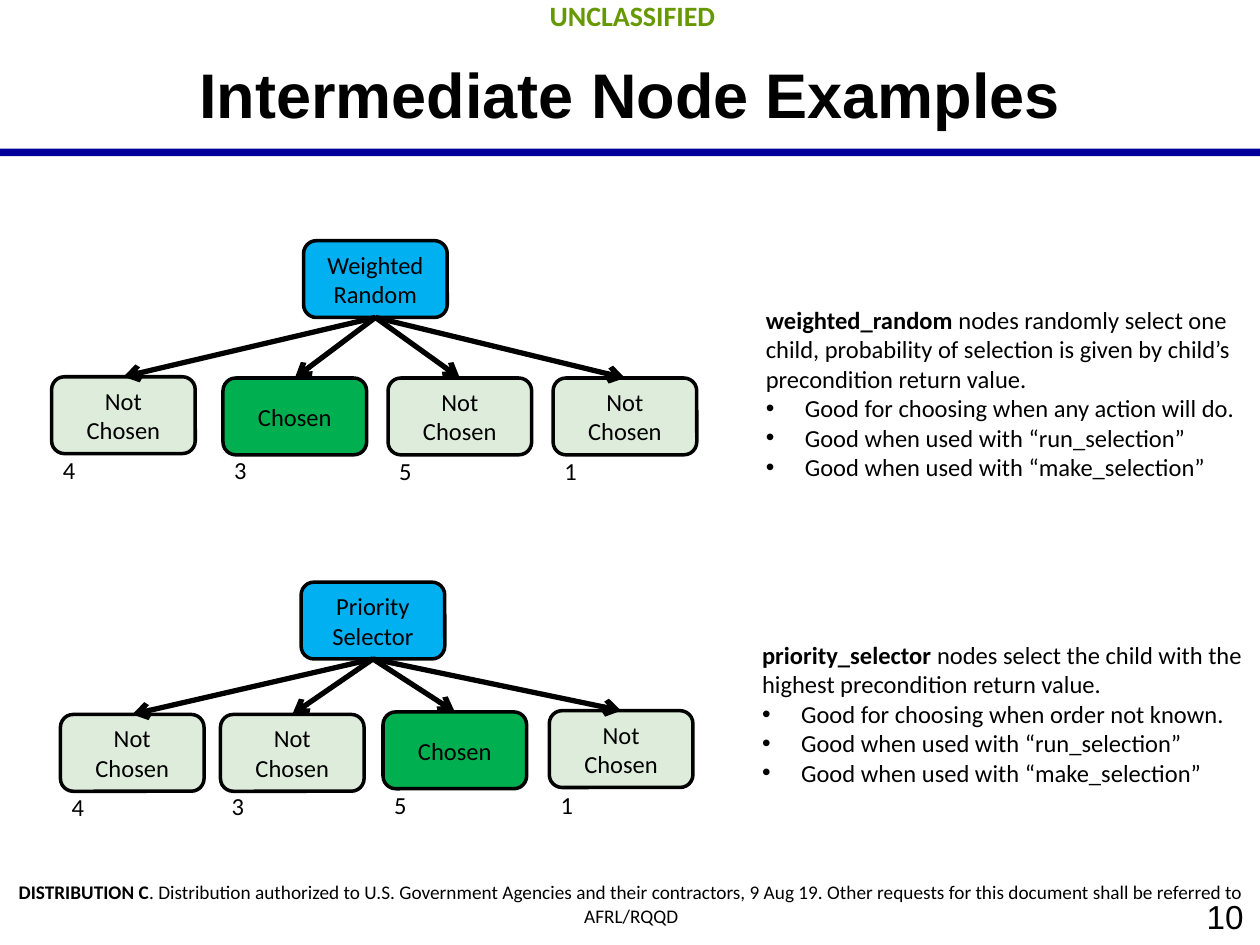
"""Build the slide on intermediate behavior tree node examples."""
from lxml import etree
from pptx import Presentation
from pptx.dml.color import RGBColor
from pptx.enum.shapes import MSO_CONNECTOR, MSO_SHAPE
from pptx.enum.text import MSO_ANCHOR, PP_ALIGN
from pptx.oxml.ns import qn
from pptx.util import Inches, Pt

RECT, ROUNDED = MSO_SHAPE.RECTANGLE, MSO_SHAPE.ROUNDED_RECTANGLE
STRAIGHT = MSO_CONNECTOR.STRAIGHT
LEFT, CENTER, RIGHT = PP_ALIGN.LEFT, PP_ALIGN.CENTER, PP_ALIGN.RIGHT
TOP, MIDDLE = MSO_ANCHOR.TOP, MSO_ANCHOR.MIDDLE

BLACK = RGBColor(0x00, 0x00, 0x00)
NAVY = RGBColor(0x00, 0x00, 0x99)
OLIVE = RGBColor(0x66, 0x99, 0x00)
BLUE = RGBColor(0x00, 0xB0, 0xF0)
GREEN = RGBColor(0x00, 0xB0, 0x50)
PALE = RGBColor(0xDE, 0xED, 0xDB)

NODE_W, NODE_H = 1.14, 0.61
TREES = [
    ("Weighted Random", 2.41, 1.91, [
        ("Not Chosen", 0.41, 2.99, "4", 3.56), ("Chosen", 1.77, 3, "3", 3.56),
        ("Not Chosen", 3.08, 3, "5", 3.57), ("Not Chosen", 4.39, 3, "1", 3.57)]),
    ("Priority Selector", 2.39, 4.62, [
        ("Not Chosen", 0.48, 5.67, "4", 6.24), ("Not Chosen", 1.75, 5.67, "3", 6.23),
        ("Chosen", 3.04, 5.65, "5", 6.22), ("Not Chosen", 4.36, 5.64, "1", 6.22)]),
]
NOTES = [
    (5.98, 2.37, 1.51, "weighted_random ",
     "nodes randomly select one child, probability of selection is given by "
     "child’s precondition return value.",
     "Good for choosing when any action will do."),
    (5.95, 5.03, 1.28, "priority_selector ",
     "nodes select the child with the highest precondition return value.",
     "Good for choosing when order not known."),
]
SHARED_BULLETS = ["Good when used with “run_selection”",
                  "Good when used with “make_selection”"]

prs = Presentation()
prs.slide_width, prs.slide_height = Inches(10), Inches(7.5)
s = prs.slides.add_slide(prs.slide_layouts[6])


def add_text(left, top, width, height, runs, size=14, font="Calibri", color=BLACK,
             align=LEFT, anchor=TOP, insets=(0.1, 0.05), wrap=True):
    sp = s.shapes.add_textbox(Inches(left), Inches(top), Inches(width), Inches(height))
    tf = sp.text_frame
    tf.word_wrap = wrap
    tf.vertical_anchor = anchor
    tf.margin_left = tf.margin_right = Inches(insets[0])
    tf.margin_top = tf.margin_bottom = Inches(insets[1])
    p = tf.paragraphs[0]
    p.alignment = align
    for text, bold in runs:
        r = p.add_run()
        r.text = text
        r.font.name, r.font.size, r.font.bold = font, Pt(size), bold
        r.font.color.rgb = color
    return tf


def add_node(text, left, top, fill):
    sp = s.shapes.add_shape(ROUNDED, Inches(left), Inches(top), Inches(NODE_W), Inches(NODE_H))
    sp.shadow.inherit = False
    sp.fill.solid()
    sp.fill.fore_color.rgb = fill
    sp.line.color.rgb = BLACK
    sp.line.width = Pt(2)
    sp.text_frame.text = text
    sp.text_frame.word_wrap = True
    sp.text_frame.vertical_anchor = MIDDLE
    p = sp.text_frame.paragraphs[0]
    p.alignment = CENTER
    font = p.runs[0].font
    font.name, font.size = "Calibri", Pt(14)
    font.color.rgb = BLACK
    return sp


rule = s.shapes.add_shape(RECT, 0, Inches(1.18), Inches(10), Inches(0.06))
rule.shadow.inherit = False
rule.fill.solid()
rule.fill.fore_color.rgb = NAVY
rule.line.fill.background()

add_text(8, 7.05, 2, 0.45, [("10", False)], 19, "Arial", align=RIGHT, anchor=MIDDLE,
         insets=(0.13, 0.07))
add_text(0.02, -0.08, 10, 0.4, [("UNCLASSIFIED", True)], 16, color=OLIVE, align=CENTER,
         insets=(0.13, 0.07))
add_text(0, 6.92, 10.02, 0.5, [
    ("DISTRIBUTION C", True),
    (". Distribution authorized to U.S. Government Agencies and their contractors, 9 Aug 19. "
     "Other requests for this document shall be referred to AFRL/RQQD", False),
], 11, align=CENTER, insets=(0.13, 0.07))
add_text(0.5, 0.34, 9, 0.59, [("Intermediate Node Examples", True)], 36, "Arial",
         align=CENTER, insets=(0.1, 0.1))

for name, left, top, children in TREES:
    parent = add_node(name, left, top, BLUE)
    for text, x, y, weight, weight_y in children:
        child = add_node(text, x, y, GREEN if text == "Chosen" else PALE)
        arrow = s.shapes.add_connector(STRAIGHT, 0, 0, 0, 0)
        arrow.begin_connect(parent, 2)
        arrow.end_connect(child, 0)
        arrow.line.color.rgb = BLACK
        arrow.line.width = Pt(3)
        etree.SubElement(arrow.line._get_or_add_ln(), qn("a:tailEnd"), type="arrow")
        etree.SubElement(arrow._element.spPr, qn("a:effectLst"))
        add_text(x - 0.01, weight_y, 0.31, 0.34, [(weight, False)], wrap=False)

for left, top, height, name, description, use in NOTES:
    tf = add_text(left, top, 4.04, height, [(name, True), (description, False)])
    for bullet in [use] + SHARED_BULLETS:
        p = tf.add_paragraph()
        p.text = bullet
        pPr = p._p.get_or_add_pPr()
        pPr.set("marL", str(Inches(0.31)))
        pPr.set("indent", str(-Inches(0.31)))
        etree.SubElement(pPr, qn("a:buFont"), typeface="Arial")
        etree.SubElement(pPr, qn("a:buChar"), char="•")
        font = p.runs[0].font
        font.name, font.size = "Calibri", Pt(14)
        font.color.rgb = BLACK

prs.save("out.pptx")
